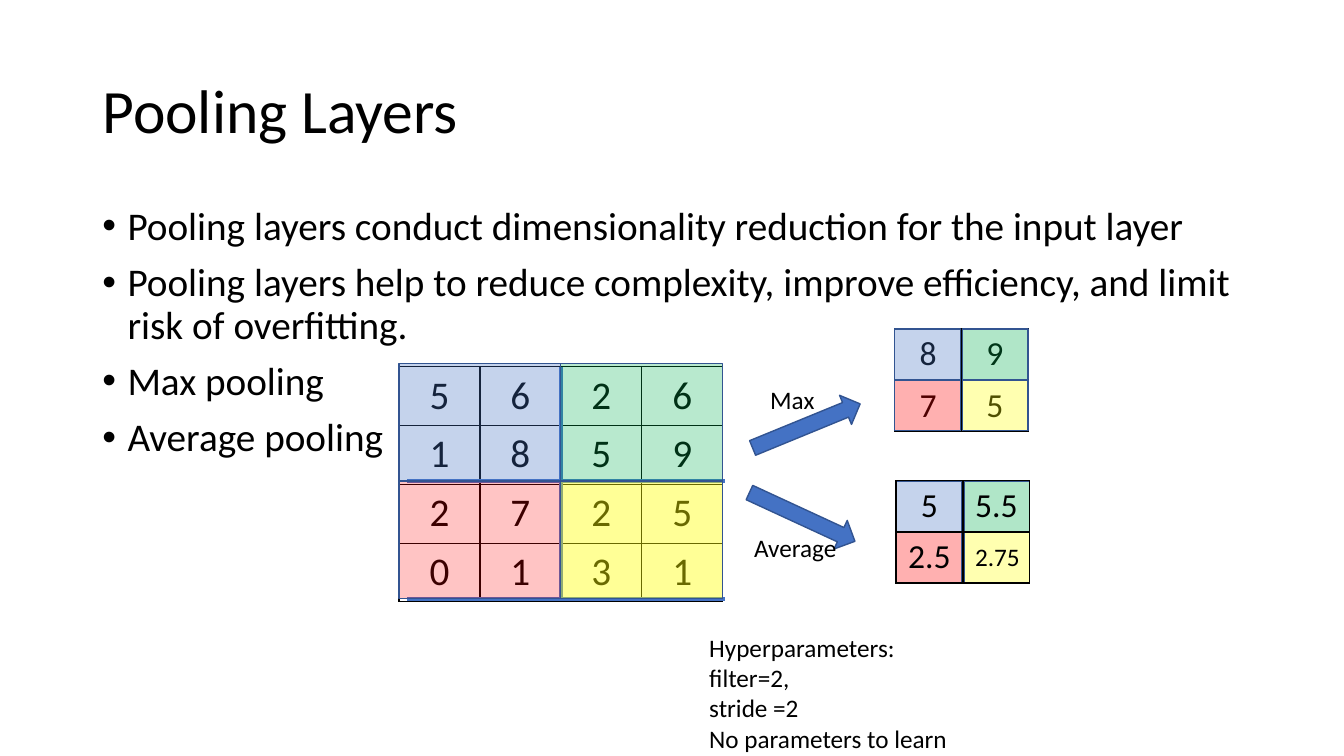
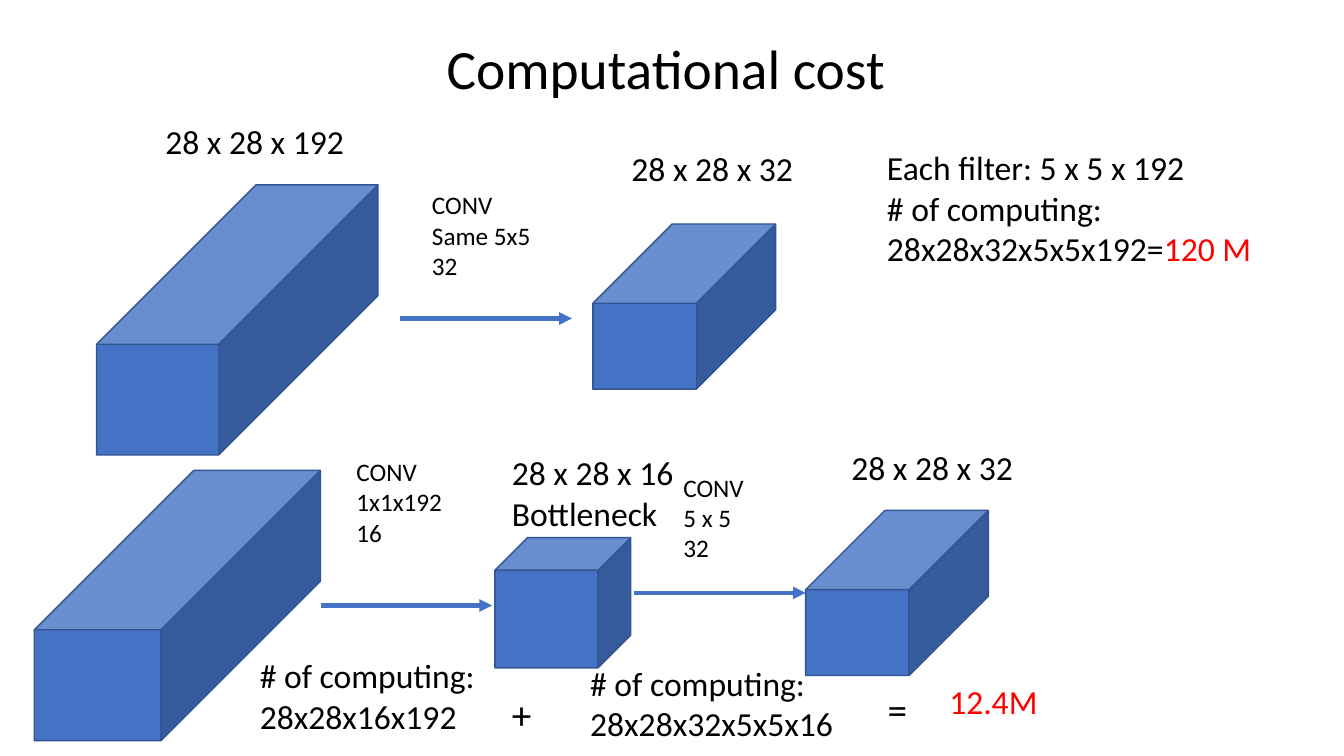
from pptx import Presentation
from pptx.dml.color import RGBColor
from pptx.enum.shapes import MSO_CONNECTOR as CONNECTOR, MSO_SHAPE as SHAPE
from pptx.enum.text import MSO_ANCHOR as ANCHOR, MSO_AUTO_SIZE as AUTO_SIZE, PP_ALIGN as ALIGN
from pptx.oxml.ns import qn
from pptx.util import Pt
from lxml.etree import SubElement

FONT = "Calibri"
COLORS = {
    "text": "000000",
    "accent": "4472C4",
    "outline": "325491",
    "result": "FF0000",
}
QUADRANT_COLORS = ["4472C4", "00B050", "FF0000", "FFFF00"]
LINE_FACTOR = 1.22
ARROW_LENGTH = 122.5


def rgb(name):
    return RGBColor.from_string(COLORS[name])


def style_runs(paragraph, size, color="text"):
    for run in paragraph.runs:
        run.font.size = Pt(size)
        run.font.name = FONT
        run.font.color.rgb = rgb(color)


def add_title(presentation, text, left, top, width, height, size, align):
    slide = presentation.slides.add_slide(presentation.slide_layouts[5])
    title = slide.shapes.title
    title.left, title.top, title.width, title.height = map(Pt, (left, top, width, height))
    frame = title.text_frame
    frame.text = text
    frame.auto_size = AUTO_SIZE.NONE
    frame.vertical_anchor = ANCHOR.MIDDLE
    paragraph = frame.paragraphs[0]
    paragraph.alignment = align
    paragraph.line_spacing = 0.9
    style_runs(paragraph, size)
    return slide


def add_text(slide, left, top, width, lines, size, color="text", wrap=False):
    height = len(lines) * size * LINE_FACTOR + 7.2
    shape = slide.shapes.add_textbox(Pt(left), Pt(top), Pt(width), Pt(height))
    frame = shape.text_frame
    frame.word_wrap = wrap
    frame.auto_size = AUTO_SIZE.SHAPE_TO_FIT_TEXT
    frame.text = "\n".join(lines)
    for paragraph in frame.paragraphs:
        style_runs(paragraph, size, color)
    return shape


def add_bullets(slide, left, top, width, height, lines):
    shape = slide.shapes.add_textbox(Pt(left), Pt(top), Pt(width), Pt(height))
    frame = shape.text_frame
    frame.word_wrap = True
    frame.text = "\n".join(lines)
    for index, paragraph in enumerate(frame.paragraphs):
        properties = paragraph._p.get_or_add_pPr()
        properties.set("marL", str(Pt(18)))
        properties.set("indent", str(-Pt(18)))
        SubElement(properties, qn("a:buFont")).set("typeface", "Arial")
        SubElement(properties, qn("a:buChar")).set("char", "•")
        paragraph.line_spacing = 0.9
        paragraph.space_before = Pt(10 if index else 0)
        style_runs(paragraph, 28)


def add_filled(shapes, kind, left, top, width, height, color=COLORS["accent"], opacity=100):
    shape = shapes.add_shape(kind, Pt(left), Pt(top), Pt(width), Pt(height))
    shape.shadow.inherit = False
    shape.fill.solid()
    shape.fill.fore_color.rgb = RGBColor.from_string(color)
    if opacity < 100:
        fill_color = shape._element.spPr.find(qn("a:solidFill"))[0]
        SubElement(fill_color, qn("a:alpha")).set("val", str(opacity * 1000))
    shape.line.color.rgb = rgb("outline")
    shape.line.width = Pt(1)
    return shape


def add_line(slide, start_x, start_y, end_x, end_y, arrow=False):
    line = slide.shapes.add_connector(
        CONNECTOR.STRAIGHT, Pt(start_x), Pt(start_y), Pt(end_x), Pt(end_y))
    line.line.color.rgb = rgb("accent")
    line.line.width = Pt(3)
    properties = line._element.spPr
    if arrow:
        SubElement(properties.find(qn("a:ln")), qn("a:tailEnd")).set("type", "triangle")
    SubElement(properties, qn("a:effectLst"))


def add_cell_borders(cell):
    properties = cell._tc.get_or_add_tcPr()
    for index, side in enumerate(("a:lnL", "a:lnR", "a:lnT", "a:lnB")):
        border = properties.makeelement(qn(side), {"w": str(Pt(1))})
        fill = SubElement(border, qn("a:solidFill"))
        SubElement(fill, qn("a:srgbClr")).set("val", COLORS["text"])
        properties.insert(index, border)


def add_matrix(slide, left, top, cell_width, cell_height, rows, size):
    count = len(rows)
    table = slide.shapes.add_table(
        count, count, Pt(left), Pt(top), Pt(cell_width * count), Pt(cell_height * count)).table
    table.first_row = table.horz_banding = False
    for column in table.columns:
        column.width = Pt(cell_width)
    for row, values in zip(table.rows, rows):
        row.height = Pt(cell_height)
        for cell, value in zip(row.cells, values):
            cell.fill.background()
            add_cell_borders(cell)
            cell.text_frame.text = value
            paragraph = cell.text_frame.paragraphs[0]
            paragraph.alignment = ALIGN.CENTER
            style_runs(paragraph, size)
    return table


def add_quadrants(slide, left, top, width, height, gap, opacities):
    group = slide.shapes.add_group_shape()
    for index, (color, opacity) in enumerate(zip(QUADRANT_COLORS, opacities)):
        row, column = divmod(index, 2)
        add_filled(group.shapes, SHAPE.RECTANGLE, left + column * (width + gap),
                   top + row * height, width, height, color, opacity)


def add_pooling_input(slide, left, top):
    rows = ["5626", "1859", "2725", "0131"]
    add_matrix(slide, left, top, 57.8, 42, rows, 28)
    for y in (81.5, 166):
        add_line(slide, left + 6, top + y, left + 233, top + y)
    add_line(slide, left + 115.5, top + 167, left + 115.5, top)
    add_quadrants(slide, left, top - 2.5, 115.5, 84, 0, [31, 28, 23, 41])


def add_result_quadrants(slide, left, top):
    add_quadrants(slide, left, top, 47, 36.3, 1.5, [31] * 4)


def add_result_matrix(slide, left, top, rows):
    return add_matrix(slide, left, top, 47.8, 36.5, rows, 24)


def add_max_branch(slide, left, top):
    add_result_matrix(slide, left, top, ["89", "75"])
    add_result_quadrants(slide, left, top)
    arrow = add_filled(slide.shapes, SHAPE.RIGHT_ARROW, left - 104.5, top + 58, 83, 22.5)
    arrow.rotation = 337.7
    add_text(slide, left - 96, top + 36, 46, ["Max"], 18)


def add_average_branch(slide, left, top):
    arrow = add_filled(slide.shapes, SHAPE.RIGHT_ARROW, left - 108.5, top + 14.5, 83, 22.5)
    arrow.rotation = 24.8
    add_result_quadrants(slide, left, top)
    table = add_result_matrix(slide, left, top, [["5", "5.5"], ["2.5", "2.75"]])
    last_cell = table.cell(1, 1)
    last_cell.vertical_anchor = ANCHOR.MIDDLE
    paragraph = last_cell.text_frame.paragraphs[0]
    paragraph.alignment = ALIGN.RIGHT
    style_runs(paragraph, 18)
    add_text(slide, left - 108.5, top + 33.5, 74, ["Average"], 18)


def add_volume(slide, left, top, width, height, depth):
    cube = add_filled(slide.shapes, SHAPE.CUBE, left, top, width, height)
    cube.adjustments[0] = depth


def add_input_volume(slide, left, top, width):
    add_volume(slide, left, top, width, 193, 0.59)


def add_output_volume(slide, left, top):
    add_volume(slide, left, top, 130.5, 118, 0.48)


def add_step_arrow(slide, left, top):
    add_line(slide, left, top, left + ARROW_LENGTH, top, arrow=True)


def add_direct_convolution(slide, left, top):
    add_input_volume(slide, left, top + 49, 201)
    add_step_arrow(slide, left + 217, top + 144.5)
    add_output_volume(slide, left + 354.5, top + 77)
    add_text(slide, left + 42, top, 142.5, ["28 x 28 x 192"], 24)
    add_text(slide, left + 375, top + 19, 130, ["28 x 28 x 32"], 24)
    add_text(slide, left + 232.5, top + 49, 86, ["CONV", "Same 5x5", "32"], 18)
    cost = add_text(slide, left + 557.5, top + 18.5, 276.5,
                    ["Each filter: 5 x 5 x 192", "# of computing:", "28x28x32x5x5x192="], 24)
    total = cost.text_frame.paragraphs[-1].add_run()
    total.text = "120 M"
    total.font.size = Pt(24)
    total.font.name = FONT
    total.font.color.rgb = rgb("result")


def add_bottleneck_convolution(slide, left, top):
    add_input_volume(slide, left, top + 20, 204.5)
    add_step_arrow(slide, left + 204.5, top + 116.5)
    add_volume(slide, left + 329, top + 68, 97, 93, 0.25)
    add_output_volume(slide, left + 551, top + 48.5)
    add_step_arrow(slide, left + 428.5, top + 107.5)
    add_text(slide, left + 223, top + 6.5, 85, ["CONV", "1x1x192", "16"], 18, wrap=True)
    add_text(slide, left + 334, top + 3.5, 130, ["28 x 28 x 16", "Bottleneck"], 24)
    add_text(slide, left + 576.5, top, 130, ["28 x 28 x 32"], 24)
    add_text(slide, left + 456.5, top + 17.5, 85, ["CONV", "5 x 5", "32"], 18, wrap=True)
    add_text(slide, left + 154, top + 148.5, 175,
             ["# of computing:", "28x28x16x192"], 24, wrap=True)
    add_text(slide, left + 390, top + 154, 246,
             ["# of computing:", "28x28x32x5x5x16"], 24, wrap=True)
    add_text(slide, left + 334, top + 173.5, 29, ["+"], 28)
    add_text(slide, left + 602.5, top + 170, 29, ["="], 28)
    add_text(slide, left + 646.5, top + 167, 78, ["12.4M"], 24, color="result")


def build_pooling_slide(presentation):
    slide = add_title(presentation, "Pooling Layers", 66, 29, 828, 104, 44, ALIGN.LEFT)
    add_bullets(slide, 66, 144, 841, 232, [
        "Pooling layers conduct dimensionality reduction for the input layer",
        "Pooling layers help to reduce complexity, improve efficiency, and limit risk of overfitting.",
        "Max pooling",
        "Average pooling",
    ])
    add_pooling_input(slide, 285, 262)
    add_max_branch(slide, 639, 235)
    add_average_branch(slide, 640, 343.5)
    add_text(slide, 499.5, 448, 186.5,
             ["Hyperparameters:", "filter=2,", "stride =2", "No parameters to learn"], 18)


def build_cost_slide(presentation):
    slide = add_title(presentation, "Computational cost", 61.5, 29, 828, 44.5, 39.6, ALIGN.CENTER)
    add_direct_convolution(slide, 69, 83)
    add_bottleneck_convolution(slide, 24.5, 316)


def main():
    presentation = Presentation()
    presentation.slide_width = Pt(960)
    presentation.slide_height = Pt(540)
    build_pooling_slide(presentation)
    build_cost_slide(presentation)
    presentation.save("out.pptx")


if __name__ == "__main__":
    main()
